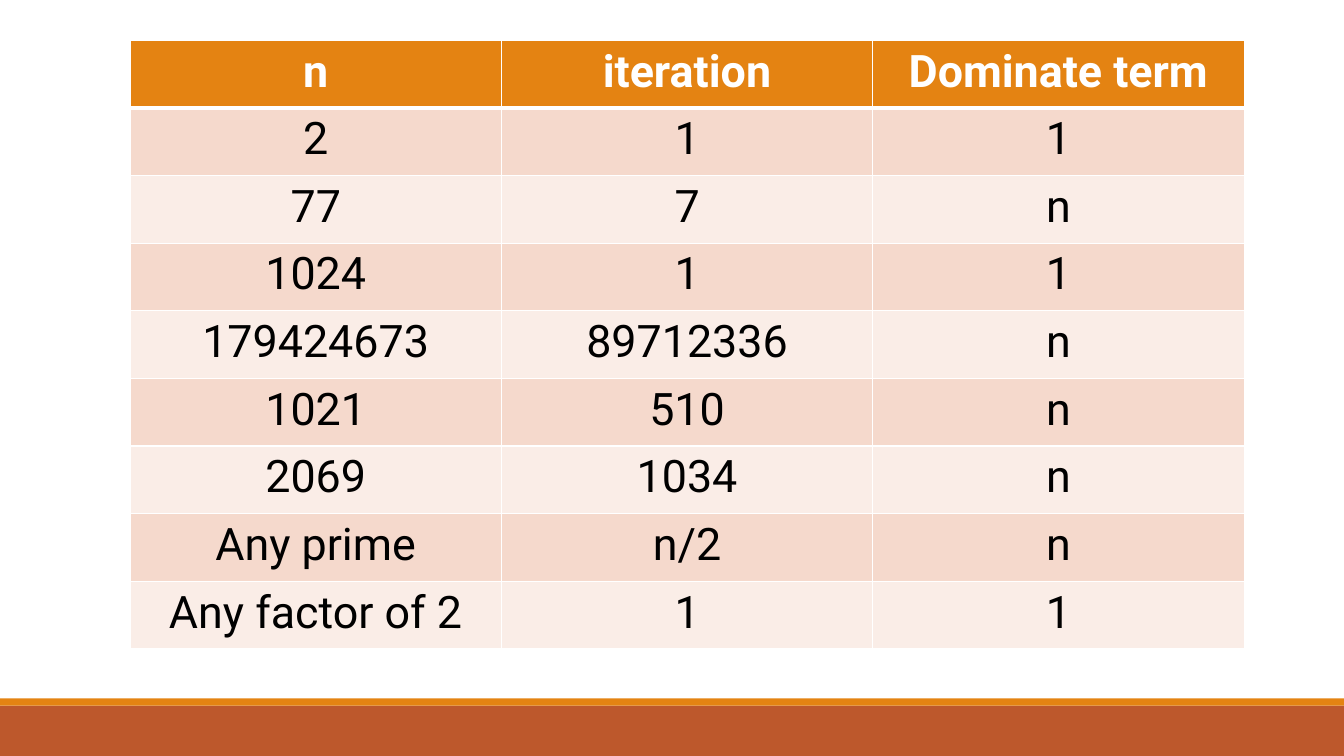
from lxml import etree
from pptx import Presentation
from pptx import util as u
from pptx.dml import color
from pptx.enum import shapes, text
from pptx.oxml import ns

ROWS = [
    ("n", "iteration", "Dominate term"),
    ("2", "1", "1"),
    ("77", "7", "n"),
    ("1024", "1", "1"),
    ("179424673", "89712336", "n"),
    ("1021", "510", "n"),
    ("2069", "1034", "n"),
    ("Any prime", "n/2", "n"),
    ("Any factor of 2", "1", "1"),
]
ORANGE, RUST, WHITE, BLACK = "E48312", "BD582C", "FFFFFF", "000000"
BANDS = ("FAEDE7", "F5D9CC")


def paint(fill, hex_color):
    """Give a fill one solid colour."""
    fill.solid()
    fill.fore_color.rgb = color.RGBColor.from_string(hex_color)


def add_borders(cell, widths):
    """Draw white cell borders with the point width given for each side."""
    properties = cell._tc.get_or_add_tcPr()
    for side, width in widths.items():
        line = etree.SubElement(properties, ns.qn(f"a:ln{side}"), w=str(u.Pt(width)))
        solid = etree.SubElement(line, ns.qn("a:solidFill"))
        etree.SubElement(solid, ns.qn("a:srgbClr"), val=WHITE)


def style_cell(cell, wording, row):
    """Write and colour one cell as header or banded body."""
    header = row == 0
    add_borders(cell, {"L": 1, "R": 1, "T": 3 if row == 1 else 1, "B": 3 if header else 1})
    paint(cell.fill, ORANGE if header else BANDS[row % 2])
    cell.text = wording
    paragraph = cell.text_frame.paragraphs[0]
    paragraph.alignment = text.PP_ALIGN.CENTER
    paragraph.font.name = "Roboto"
    paragraph.font.size = u.Pt(32)
    paragraph.font.bold = header
    paint(paragraph.font.fill, WHITE if header else BLACK)


def add_iteration_table(slide, left, top, width, height):
    """Fill the box with the table of iteration counts."""
    frame = slide.shapes.add_table(
        len(ROWS), len(ROWS[0]), u.Inches(left), u.Inches(top), u.Inches(width), u.Inches(height)
    )
    for row, wordings in enumerate(ROWS):
        for column, wording in enumerate(wordings):
            style_cell(frame.table.cell(row, column), wording, row)


def add_footer(slide, left, top, width, height):
    """Place the rust footer band with its thin orange strip on top."""
    strip = 0.07
    for offset, depth, hex_color in ((strip, height - strip, RUST), (0, strip, ORANGE)):
        band = slide.shapes.add_shape(
            shapes.MSO_SHAPE.RECTANGLE,
            u.Inches(left), u.Inches(top + offset), u.Inches(width), u.Inches(depth),
        )
        band.shadow.inherit = False
        paint(band.fill, hex_color)
        band.line.fill.background()


def main():
    """Build and save the presentation."""
    presentation = Presentation()
    presentation.slide_width = u.Inches(13.33)
    presentation.slide_height = u.Inches(7.5)
    slide = presentation.slides.add_slide(presentation.slide_layouts[6])
    add_footer(slide, 0, 6.93, 13.33, 0.57)
    add_iteration_table(slide, 1.29, 0.4, 11.05, 6.04)
    presentation.save("out.pptx")


if __name__ == "__main__":
    main()
